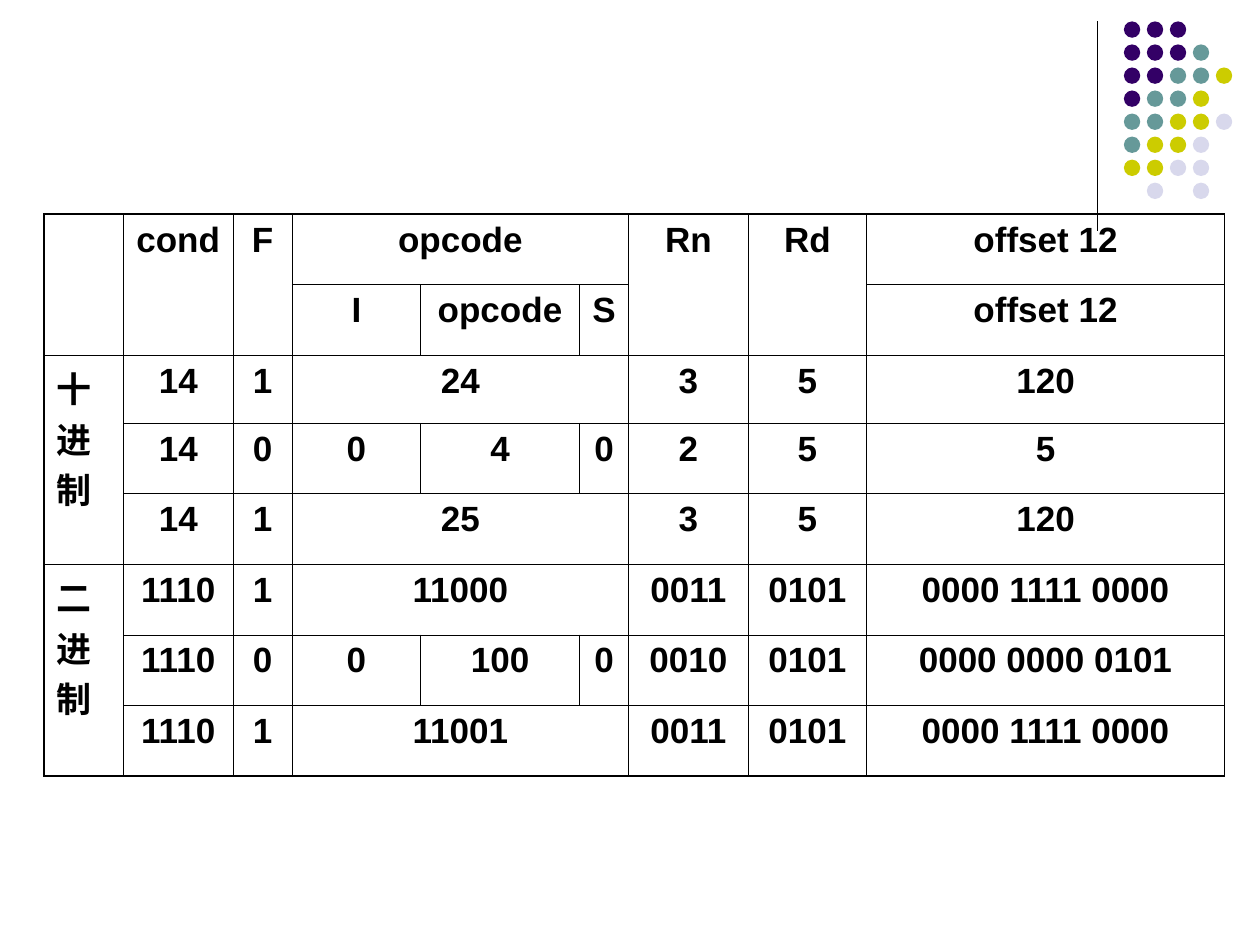
from lxml.etree import SubElement
from pptx import Presentation
from pptx.dml.color import RGBColor
from pptx.enum.shapes import MSO_CONNECTOR, MSO_SHAPE
from pptx.enum.text import PP_ALIGN
from pptx.oxml.ns import qn
from pptx.util import Inches, Pt

BLACK = "000000"
DOT_COLORS = {"P": "330066", "T": "669999", "Y": "CCCC00", "L": "D8D8EC"}
DOT_ROWS = ["PPP", "PPPT", "PPTTY", "PTTY", "TTYYL", "TYYL", "YYLL", ".L.L"]
DOT_LEFT, DOT_TOP, DOT_SIZE = 8.92, 0.17, 0.13
DOT_STEP_X = (9.65 - DOT_LEFT) / 4
DOT_STEP_Y = (1.45 - DOT_TOP) / 7

TABLE_LEFT, TABLE_TOP = 0.35, 1.7
COLUMN_WIDTHS = [0.63, 0.87, 0.47, 1.02, 1.26, 0.39, 0.95, 0.94, 2.84]
ROW_HEIGHTS = [0.56, 0.56, 0.54, 0.56, 0.56, 0.56, 0.56, 0.56]
ROWS = [
    ["", "cond", "F", "opcode", "", "", "Rn", "Rd", "offset 12"],
    ["", "", "", "I", "opcode", "S", "", "", "offset 12"],
    ["十进制", "14", "1", "24", "", "", "3", "5", "120"],
    ["", "14", "0", "0", "4", "0", "2", "5", "5"],
    ["", "14", "1", "25", "", "", "3", "5", "120"],
    ["二进制", "1110", "1", "11000", "", "", "0011", "0101", "0000 1111 0000"],
    ["", "1110", "0", "0", "100", "0", "0010", "0101", "0000 0000 0101"],
    ["", "1110", "1", "11001", "", "", "0011", "0101", "0000 1111 0000"],
]
HEADER_COLUMNS = [0, 1, 2, 6, 7]
OPCODE_ROWS = [0, 2, 4, 5, 7]
LABEL_ROWS = [2, 5]
OUTER_BORDER, INNER_BORDER = 1.08, 0.45


def color(value):
    return RGBColor.from_string(value)


def add_divider(slide):
    divider = slide.shapes.add_connector(
        MSO_CONNECTOR.STRAIGHT, Inches(8.71), Inches(0.17), Inches(8.71), Inches(1.83))
    divider.line.color.rgb = color(BLACK)
    divider.line.width = Pt(0.75)
    SubElement(divider._element.spPr, qn("a:effectLst"))


def add_dots(slide):
    group = slide.shapes.add_group_shape()
    for row, keys in enumerate(DOT_ROWS):
        for column, key in enumerate(keys):
            if key not in DOT_COLORS:
                continue
            dot = group.shapes.add_shape(
                MSO_SHAPE.OVAL,
                Inches(DOT_LEFT + column * DOT_STEP_X),
                Inches(DOT_TOP + row * DOT_STEP_Y),
                Inches(DOT_SIZE), Inches(DOT_SIZE))
            dot.shadow.inherit = False
            dot.fill.solid()
            dot.fill.fore_color.rgb = color(DOT_COLORS[key])
            dot.line.fill.background()


def set_borders(cell, outer_edges):
    properties = cell._tc.get_or_add_tcPr()
    for index, (edge, is_outer) in enumerate(outer_edges.items()):
        width = Pt(OUTER_BORDER if is_outer else INNER_BORDER)
        line = properties.makeelement(qn(f"a:ln{edge}"), {"w": str(int(width))})
        fill = SubElement(line, qn("a:solidFill"))
        SubElement(fill, qn("a:srgbClr"), val=BLACK)
        properties.insert(index, line)


def write_cell(cell, text, alignment):
    paragraph = cell.text_frame.paragraphs[0]
    paragraph.alignment = alignment
    run = paragraph.add_run()
    run.text = text
    run.font.name = "Arial"
    run.font.size = Pt(20)
    run.font.bold = True
    run.font.color.rgb = color(BLACK)


def merge_cells(table):
    for column in HEADER_COLUMNS:
        table.cell(0, column).merge(table.cell(1, column))
    for row in OPCODE_ROWS:
        table.cell(row, 3).merge(table.cell(row, 5))
    for row in LABEL_ROWS:
        table.cell(row, 0).merge(table.cell(row + 2, 0))


def add_instruction_table(slide):
    row_count, column_count = len(ROW_HEIGHTS), len(COLUMN_WIDTHS)
    table = slide.shapes.add_table(
        row_count, column_count, Inches(TABLE_LEFT), Inches(TABLE_TOP),
        Inches(sum(COLUMN_WIDTHS)), Inches(sum(ROW_HEIGHTS))).table
    table.first_row = False
    table.horz_banding = False
    for column, width in zip(table.columns, COLUMN_WIDTHS):
        column.width = Inches(width)
    for row, height in zip(table.rows, ROW_HEIGHTS):
        row.height = Inches(height)
    merge_cells(table)

    for row, texts in enumerate(ROWS):
        for column, text in enumerate(texts):
            cell = table.cell(row, column)
            cell.fill.background()
            if cell.is_spanned:
                continue
            height = cell.span_height if cell.is_merge_origin else 1
            width = cell.span_width if cell.is_merge_origin else 1
            set_borders(cell, {
                "L": column == 0,
                "R": column + width == column_count,
                "T": row == 0,
                "B": row + height == row_count,
            })
            if text:
                write_cell(cell, text, PP_ALIGN.CENTER if column else PP_ALIGN.LEFT)


def main():
    presentation = Presentation()
    presentation.slide_width = Inches(10)
    presentation.slide_height = Inches(7.5)
    slide = presentation.slides.add_slide(presentation.slide_layouts[6])
    add_divider(slide)
    add_dots(slide)
    add_instruction_table(slide)
    presentation.save("out.pptx")


if __name__ == "__main__":
    main()
